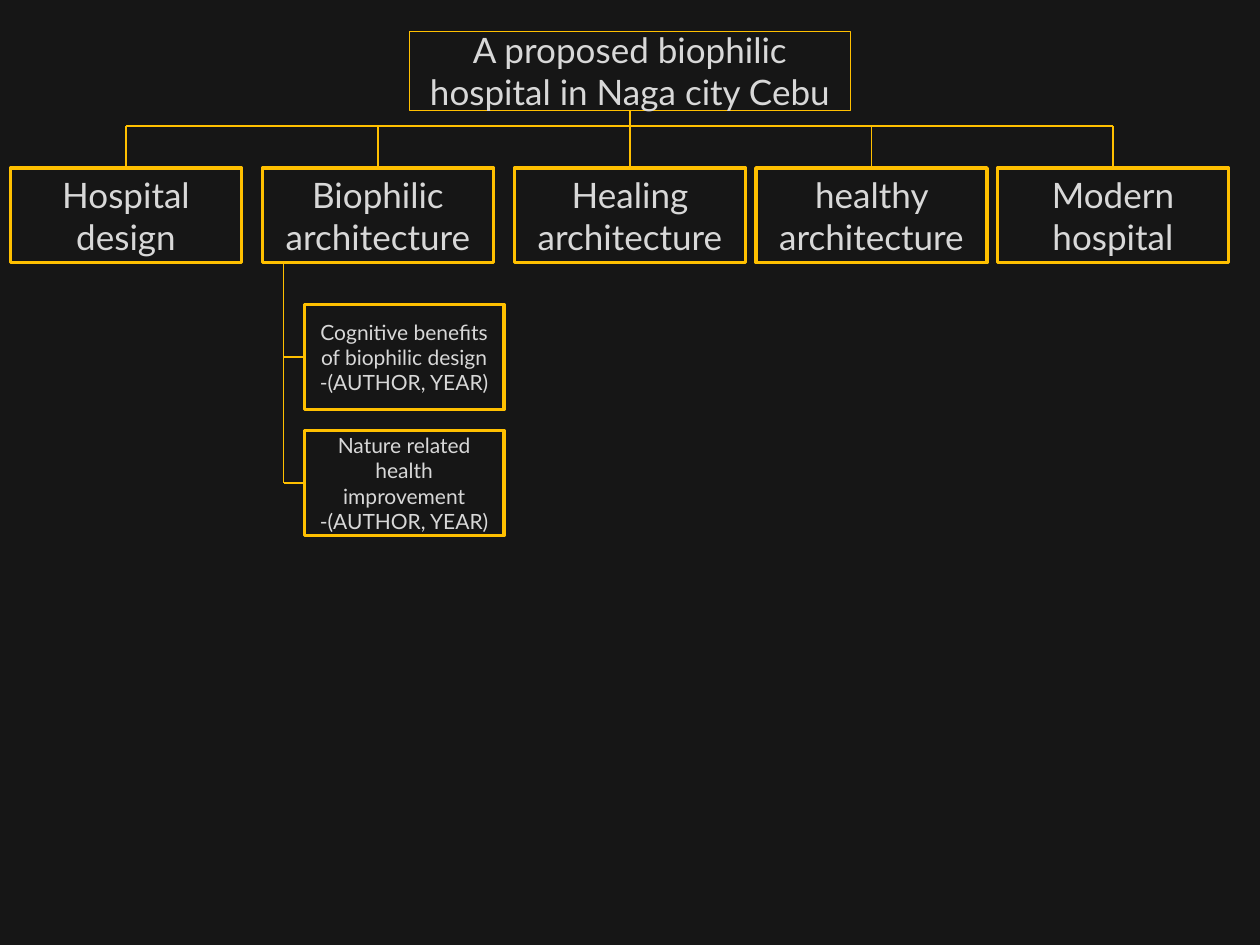
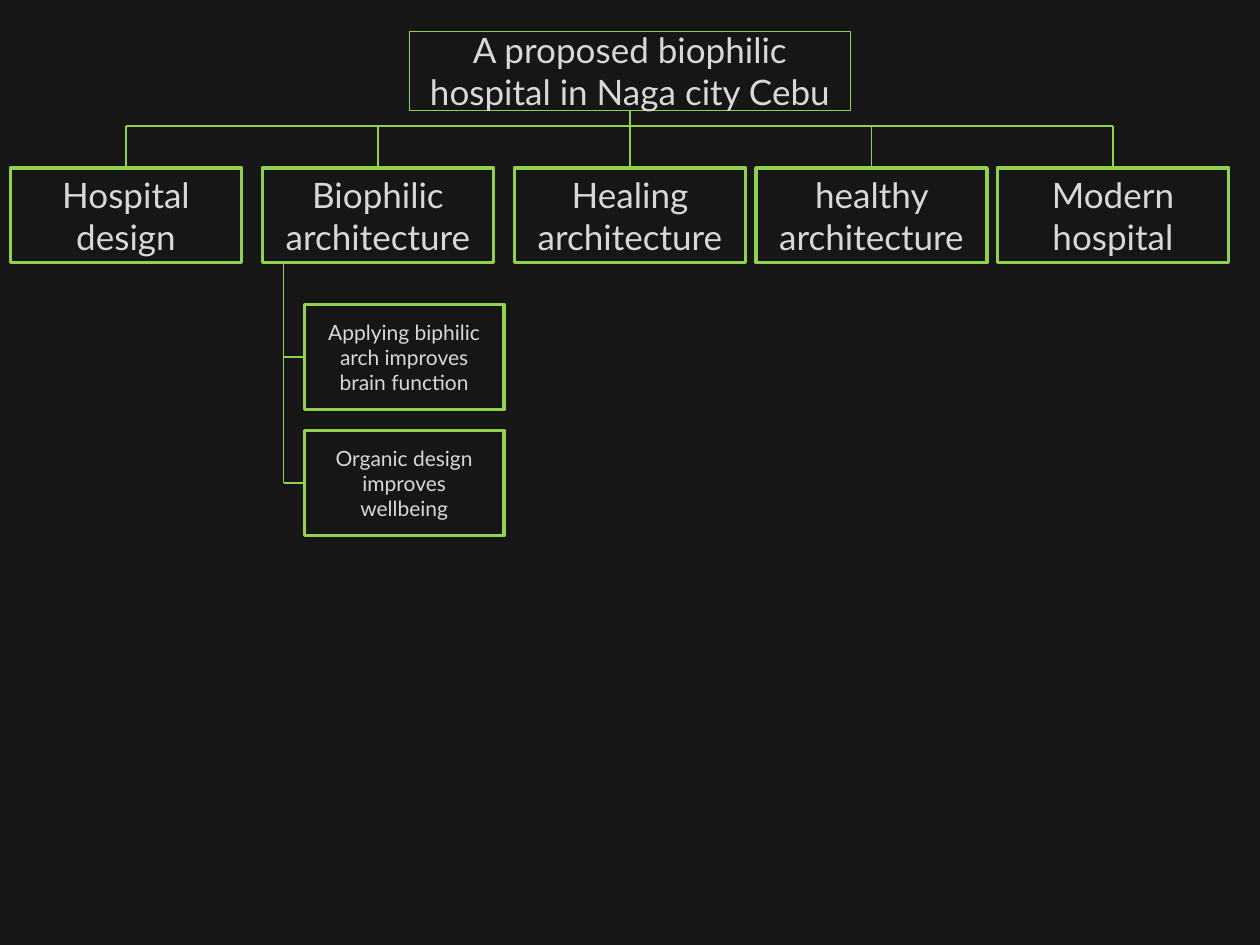
from pptx import Presentation
from pptx.dml.color import RGBColor
from pptx.enum.shapes import MSO_CONNECTOR, MSO_SHAPE
from pptx.enum.text import MSO_ANCHOR, PP_ALIGN
from pptx.oxml.ns import qn
from pptx.util import Inches, Pt

RECTANGLE = MSO_SHAPE.RECTANGLE
STRAIGHT = MSO_CONNECTOR.STRAIGHT
MIDDLE = MSO_ANCHOR.MIDDLE
CENTER = PP_ALIGN.CENTER

FONT = "Lato"
BACKGROUND, TEXT_COLOR = "161616", "D8D8D8"
THIN, THICK = 0.75, 2
LARGE, SMALL = 20, 12

CELLS_PER_INCH = 12
TITLE = "A proposed biophilic hospital in Naga city Cebu"
TITLE_BOX = (39, 3, 42, 7.5)
BUS_ROW = 12
TOPIC_ROW, TOPIC_WIDTH, TOPIC_HEIGHT = 16, 22, 9
TOPICS = [
    (1, "Hospital design"),
    (25, "Biophilic architecture"),
    (49, "Healing architecture"),
    (72, "healthy architecture"),
    (95, "Modern hospital"),
]
TRUNK_COLUMN = 27
FINDING_COLUMN, FINDING_ROW, FINDING_WIDTH, FINDING_HEIGHT = 29, 29, 19, 10
FINDING_PITCH = 12

SLIDES = [
    ("FFC000", [
        ["Cognitive benefits of biophilic design", "-(AUTHOR, YEAR)"],
        ["Nature related health improvement", "-(AUTHOR, YEAR)"],
    ]),
    ("92D050", [
        ["Applying biphilic arch improves brain function"],
        ["Organic design improves wellbeing"],
    ]),
]


def color(hex_string):
    """Turn a hex string into a colour."""
    return RGBColor.from_string(hex_string)


def cells(*counts):
    """Turn counts of grid cells into lengths."""
    return [Inches(count / CELLS_PER_INCH) for count in counts]


def style_line(line, accent, width):
    """Give an outline or connector its colour and width."""
    line.color.rgb = color(accent)
    line.width = Pt(width)


def add_box(slide, box, texts, size, accent, width):
    """Add an outlined box with one centred paragraph per text."""
    shape = slide.shapes.add_shape(RECTANGLE, *cells(*box))
    shape.shadow.inherit = False
    shape.fill.background()
    style_line(shape.line, accent, width)
    frame = shape.text_frame
    frame.word_wrap = True
    frame.vertical_anchor = MIDDLE
    for index, text in enumerate(texts):
        paragraph = frame.add_paragraph() if index else frame.paragraphs[0]
        paragraph.alignment = CENTER
        run = paragraph.add_run()
        run.text = text
        run.font.name = FONT
        run.font.size = Pt(size)
        run.font.color.rgb = color(TEXT_COLOR)


def add_line(slide, start, end, accent):
    """Add a thin straight connector between two grid points."""
    connector = slide.shapes.add_connector(STRAIGHT, *cells(*start, *end))
    style_line(connector.line, accent, THIN)
    properties = connector._element.spPr
    properties.append(properties.makeelement(qn("a:effectLst"), {}))


def add_topics(slide, accent):
    """Add the title, the topic row and the lines that join them."""
    left, top, width, height = TITLE_BOX
    add_box(slide, TITLE_BOX, [TITLE], LARGE, accent, THIN)
    title_center = left + width / 2
    centers = [column + TOPIC_WIDTH / 2 for column, _ in TOPICS]
    add_line(slide, (title_center, top + height), (title_center, BUS_ROW), accent)
    add_line(slide, (centers[0], BUS_ROW), (centers[-1], BUS_ROW), accent)
    for center, (column, topic) in zip(centers, TOPICS):
        box = (column, TOPIC_ROW, TOPIC_WIDTH, TOPIC_HEIGHT)
        add_box(slide, box, [topic], LARGE, accent, THICK)
        add_line(slide, (center, BUS_ROW), (center, TOPIC_ROW), accent)


def add_findings(slide, findings, accent):
    """Add the findings that hang below the second topic."""
    for index, texts in enumerate(findings):
        top = FINDING_ROW + index * FINDING_PITCH
        middle = top + FINDING_HEIGHT / 2
        box = (FINDING_COLUMN, top, FINDING_WIDTH, FINDING_HEIGHT)
        add_box(slide, box, texts, SMALL, accent, THICK)
        add_line(slide, (FINDING_COLUMN, middle), (TRUNK_COLUMN, middle), accent)
    trunk_top = TOPIC_ROW + TOPIC_HEIGHT
    add_line(slide, (TRUNK_COLUMN, trunk_top), (TRUNK_COLUMN, middle), accent)


def main():
    """Build both slides and save the presentation."""
    presentation = Presentation()
    presentation.slide_width = Inches(10)
    presentation.slide_height = Inches(7.5)
    for accent, findings in SLIDES:
        slide = presentation.slides.add_slide(presentation.slide_layouts[6])
        slide.background.fill.solid()
        slide.background.fill.fore_color.rgb = color(BACKGROUND)
        add_topics(slide, accent)
        add_findings(slide, findings, accent)
    presentation.save("out.pptx")


main()
